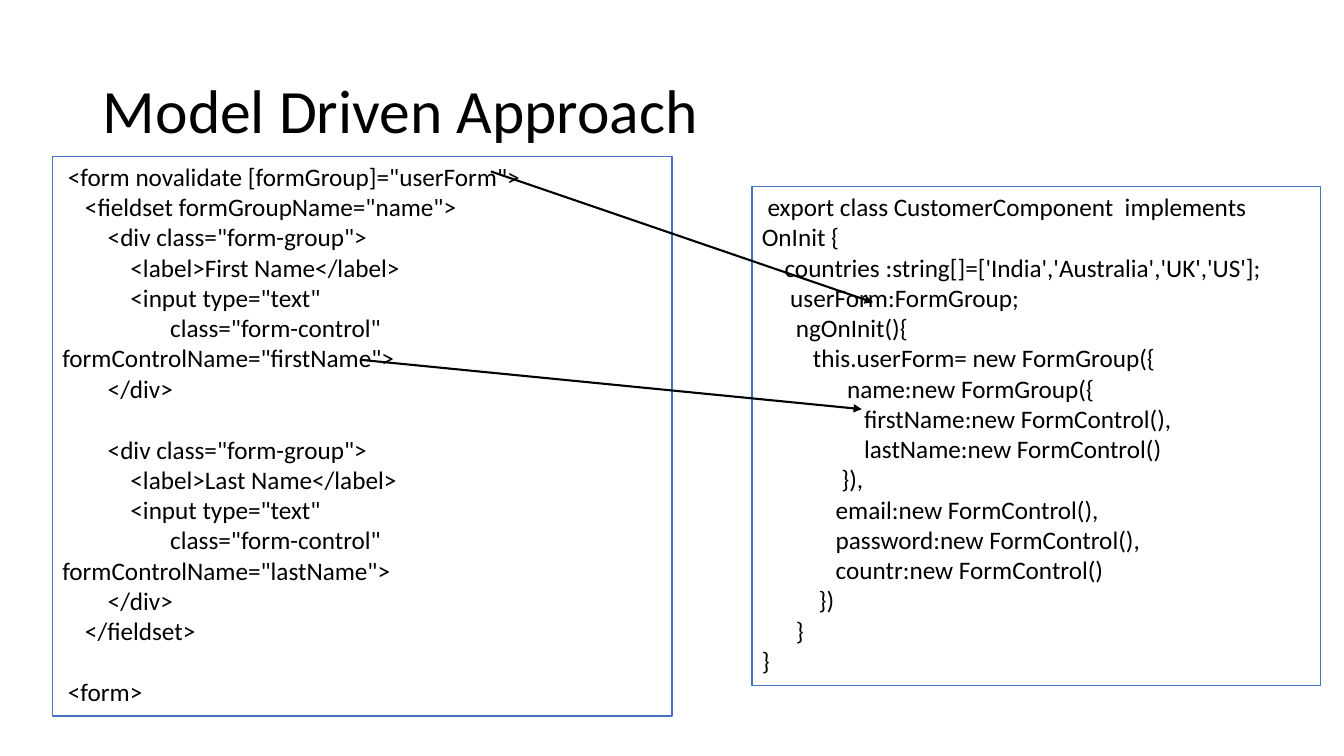
"""Build a slide that links an Angular form template to its component class."""
from lxml import etree
from pptx import Presentation
from pptx.dml.color import RGBColor
from pptx.enum.shapes import MSO_CONNECTOR, MSO_SHAPE
from pptx.enum.text import MSO_ANCHOR, MSO_AUTO_SIZE, PP_ALIGN
from pptx.oxml.ns import qn
from pptx.util import Cm, Pt

RECTANGLE = MSO_SHAPE.RECTANGLE
STRAIGHT = MSO_CONNECTOR.STRAIGHT
MIDDLE = MSO_ANCHOR.MIDDLE
LEFT = PP_ALIGN.LEFT
GROW = MSO_AUTO_SIZE.SHAPE_TO_FIT_TEXT
NO_FIT = MSO_AUTO_SIZE.NONE

FONT = "Calibri"
CODE_SIZE = 18
CODE_LINE = 22
COLORS = {"text": "000000", "panel": "FFFFFF", "border": "4472C4", "arrow": "000000"}

COMPONENT_CODE = """\
 export class CustomerComponent  implements OnInit {
    countries :string[]=['India','Australia','UK','US'];
     userForm:FormGroup;
      ngOnInit(){
         this.userForm= new FormGroup({
               name:new FormGroup({
                  firstName:new FormControl(),
                  lastName:new FormControl()
              }),
             email:new FormControl(),
             password:new FormControl(),
             countr:new FormControl()
          })
      }
}"""

TEMPLATE_CODE = """\
 <form novalidate [formGroup]="userForm">
    <fieldset formGroupName="name">
        <div class="form-group">
            <label>First Name</label>
            <input type="text"
                   class="form-control" formControlName="firstName">
        </div>

        <div class="form-group">
            <label>Last Name</label>
            <input type="text"
                   class="form-control" formControlName="lastName">
        </div>
    </fieldset>

 <form>"""

PANELS = [
    (COMPONENT_CODE, (18.95, 4.7, 14.33, 12.57)),
    (TEMPLATE_CODE, (1.32, 3.94, 15.62, 14.1)),
]
ARROWS = [
    (12.37, 4.32, 22, 7.62),
    (9.12, 9.07, 21.72, 10.31),
]


def color(name):
    return RGBColor.from_string(COLORS[name])


def add_span(para, text, size):
    span = para.add_run()
    span.text = text
    span.font.name = FONT
    span.font.size = Pt(size)
    span.font.color.rgb = color("text")


deck = Presentation()
deck.slide_width, deck.slide_height = Cm(33.87), Cm(19.05)
page = deck.slides.add_slide(deck.slide_layouts.get_by_name("Title Only"))

title = page.shapes.title
title.left, title.top, title.width, title.height = Cm(2.34), Cm(1.02), Cm(29.21), Cm(3.68)
title.text_frame.vertical_anchor = MIDDLE
title.text_frame.word_wrap = True
title.text_frame.auto_size = NO_FIT
heading = title.text_frame.paragraphs[0]
heading.alignment = LEFT
heading.line_spacing = 0.9
add_span(heading, "Model Driven Approach", 44)

for code, place in PANELS:
    box = page.shapes.add_shape(RECTANGLE, *map(Cm, place))
    box.shadow.inherit = False
    box.fill.solid()
    box.fill.fore_color.rgb = color("panel")
    box.line.color.rgb = color("border")
    box.line.width = Pt(1)
    frame = box.text_frame
    frame.word_wrap = True
    frame.auto_size = GROW
    frame.vertical_anchor = MSO_ANCHOR.TOP
    for block_number, block in enumerate(code.split("\n\n")):
        for line_number, line in enumerate(block.split("\n")):
            starts_block = line_number == 0
            starts_box = starts_block and block_number == 0
            para = frame.paragraphs[0] if starts_box else frame.add_paragraph()
            para.alignment = LEFT
            if starts_block and not starts_box:
                para.space_before = Pt(CODE_LINE)
            add_span(para, line, CODE_SIZE)

for ends in ARROWS:
    arrow = page.shapes.add_connector(STRAIGHT, *map(Cm, ends))
    arrow.line.color.rgb = color("arrow")
    arrow.line.width = Pt(1.5)
    etree.SubElement(arrow.line._get_or_add_ln(), qn("a:tailEnd"), type="triangle")
    etree.SubElement(arrow._element.spPr, qn("a:effectLst"))

deck.save("out.pptx")
